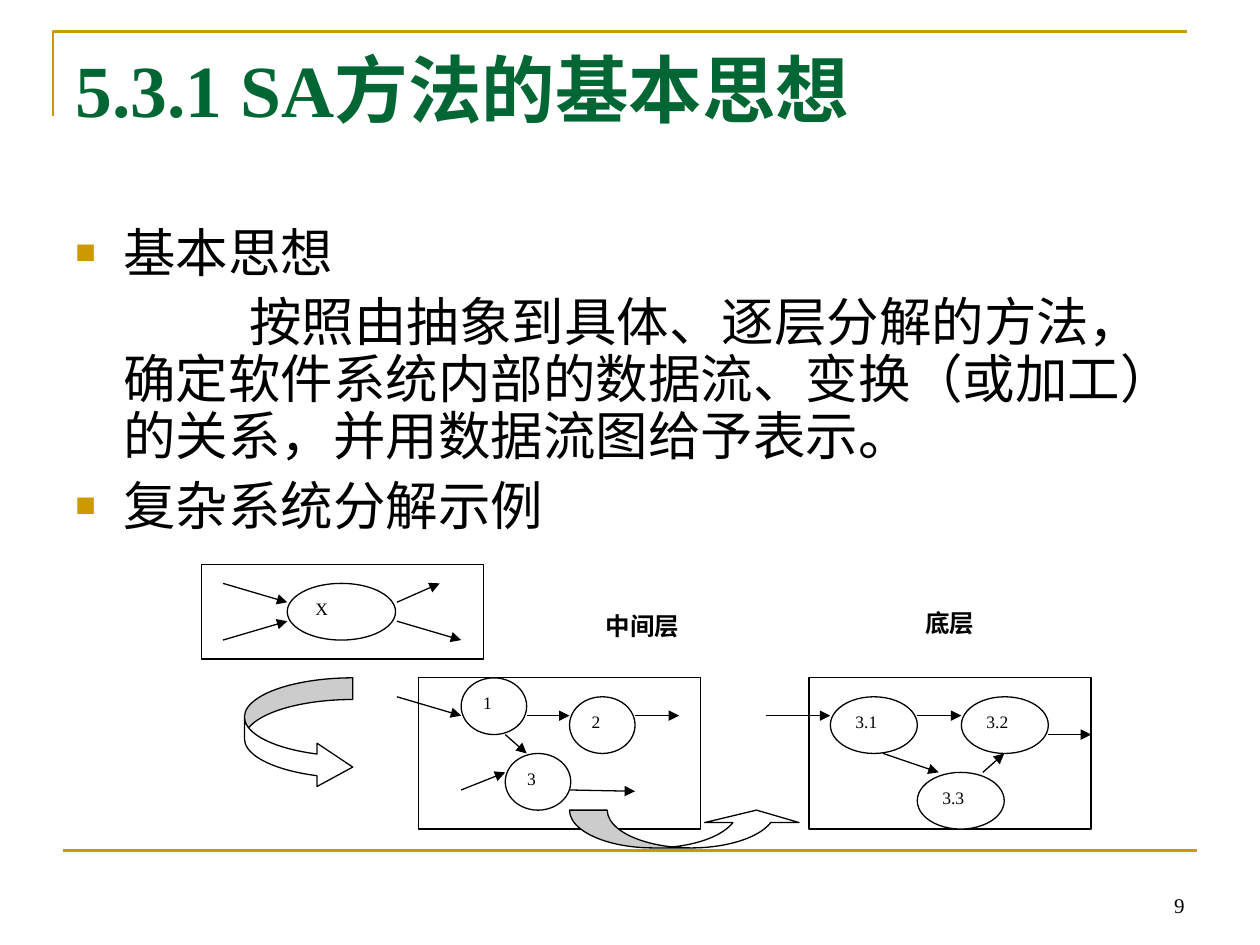
from lxml import etree
from pptx import Presentation
from pptx.dml.color import RGBColor
from pptx.enum.shapes import MSO_CONNECTOR, MSO_SHAPE
from pptx.enum.text import MSO_ANCHOR, PP_ALIGN
from pptx.oxml.ns import qn
from pptx.util import Inches, Pt

STRAIGHT = MSO_CONNECTOR.STRAIGHT
RECTANGLE, OVAL = MSO_SHAPE.RECTANGLE, MSO_SHAPE.OVAL
RIGHT_ARROW, UP_ARROW = MSO_SHAPE.CURVED_RIGHT_ARROW, MSO_SHAPE.CURVED_UP_ARROW
TOP, BOTTOM = MSO_ANCHOR.TOP, MSO_ANCHOR.BOTTOM
LEFT, CENTER, RIGHT, JUSTIFY = PP_ALIGN.LEFT, PP_ALIGN.CENTER, PP_ALIGN.RIGHT, PP_ALIGN.JUSTIFY

COLORS = {"gold": "CC9900", "green": "006633", "black": "000000", "white": "FFFFFF"}
SERIF = "Times New Roman"
FORMATS = {
    "title": {"name": SERIF, "size": Pt(42), "bold": True},
    "body": {"name": "Arial", "size": Pt(30)},
    "process": {"name": SERIF, "size": Pt(10)},
    "level": {"name": SERIF, "size": Pt(14), "bold": True},
    "number": {"name": SERIF, "size": Pt(12)},
}

deck = Presentation()
deck.slide_width, deck.slide_height = Inches(10), Inches(7.5)
page = deck.slides.add_slide(deck.slide_layouts[6])
shapes = page.shapes


def write(box, lines, style, align=LEFT, anchor=TOP, color="black"):
    """Fill a box with one paragraph per line in a named format."""
    frame = box.text_frame
    frame.word_wrap = True
    frame.vertical_anchor = anchor
    frame.text = "\n".join(lines)
    for para in frame.paragraphs:
        para.alignment = align
        for span in para.runs:
            span.font.color.rgb = RGBColor.from_string(COLORS[color])
            for name, value in FORMATS[style].items():
                setattr(span.font, name, value)
    return frame.paragraphs


def draw(kind, place, line="black"):
    """Add a white preset shape with a thin outline."""
    shape = shapes.add_shape(kind, *map(Inches, place))
    shape.shadow.inherit = False
    shape.fill.solid()
    shape.fill.fore_color.rgb = RGBColor.from_string(COLORS["white"])
    shape.line.color.rgb = RGBColor.from_string(COLORS[line])
    shape.line.width = Pt(0.75)
    return shape


# Corner rule at the top left
builder = shapes.build_freeform(Inches(0.42), Inches(0.92))
builder.add_line_segments([(Inches(0.42), Inches(0.25)), (Inches(9.42), Inches(0.25))], close=False)
corner = builder.convert_to_shape()
corner.shadow.inherit = False
corner.fill.background()
corner.line.color.rgb = RGBColor.from_string(COLORS["gold"])
corner.line.width = Pt(1.5)

# Page number and title
number = shapes.add_textbox(Inches(7.17), Inches(6.83), Inches(2.33), Inches(0.5))
write(number, ["9"], "number", RIGHT, BOTTOM)
title = shapes.add_textbox(Inches(0.5), Inches(0.3), Inches(9), Inches(1.25))
write(title, ["5.3.1 SA方法的基本思想"], "title", color="green")

# Body: two bulleted headings around an indented explanation
body = shapes.add_textbox(Inches(0.5), Inches(1.75), Inches(9), Inches(2.75))
paras = write(body, [
    "基本思想",
    "按照由抽象到具体、逐层分解的方法，确定软件系统内部的数据流、变换（或加工）的关系，并用数据流图给予表示。",
    "复杂系统分解示例",
], "body")
for index, para in enumerate(paras):
    bulleted = index != 1
    props = para._p.get_or_add_pPr()
    props.set("marL", str(Inches(0.38)))
    props.set("indent", str(Inches(-0.38 if bulleted else 1)))
    if bulleted:
        tint = etree.SubElement(props, qn("a:buClr"))
        etree.SubElement(tint, qn("a:srgbClr"), val=COLORS["gold"])
        etree.SubElement(props, qn("a:buSzPct"), val="65000")
        etree.SubElement(props, qn("a:buFont"), typeface="Arial")
        etree.SubElement(props, qn("a:buChar"), char="■")
    para.line_spacing = 0.9
    para.space_before = Pt(7.5 if index else 0)

# Frames of the three levels
for frame_place in [(3.32, 5.38, 2.24, 1.2), (1.6, 4.48, 2.24, 0.75), (6.42, 5.38, 2.24, 1.2)]:
    draw(RECTANGLE, frame_place)

# Processes: name, left, top, width
processes = [
    ("X", 2.28, 4.63, 0.86),
    ("1", 3.66, 5.38, 0.52), ("3", 4.01, 5.98, 0.52), ("2", 4.52, 5.53, 0.52),
    ("3.1", 6.59, 5.53, 0.69), ("3.3", 7.28, 6.13, 0.69), ("3.2", 7.63, 5.53, 0.69),
]
for name, left, top, width in processes:
    write(draw(OVAL, (left, top, width, 0.45)), [name], "process", JUSTIFY)

# Curved arrows from each level to the next
curves = [
    (RIGHT_ARROW, (1.94, 5.38, 0.86, 0.88), (0.2, 0.4, 0.33)),
    (UP_ARROW, (4.52, 6.43, 1.86, 0.3), (1.27, 2.5, 0.33)),
]
for kind, place, ratios in curves:
    curve = draw(kind, place)
    for index, ratio in enumerate(ratios):
        curve.adjustments[index] = ratio

# Footer rule and data flows
footer_rule = (0.5, 6.75, 9.5, 6.75)
flows = [
    (1.77, 4.63, 2.28, 4.78), (1.77, 5.08, 2.28, 4.93),
    (3.15, 4.78, 3.49, 4.63), (3.15, 4.93, 3.66, 5.08),
    (3.15, 5.53, 3.66, 5.68), (4.18, 5.68, 4.52, 5.68),
    (3.66, 6.27, 4.01, 6.13), (4.01, 5.83, 4.18, 5.98),
    (4.52, 6.27, 5.04, 6.28), (5.04, 5.68, 5.39, 5.68),
    (6.08, 5.68, 6.59, 5.68), (7.28, 5.68, 7.63, 5.68),
    (7.01, 5.98, 7.45, 6.13), (7.8, 6.13, 7.97, 5.98),
    (8.32, 5.83, 8.66, 5.83),
]
for ends in [footer_rule] + flows:
    is_flow = ends != footer_rule
    line = shapes.add_connector(STRAIGHT, *map(Inches, ends))
    line.line.color.rgb = RGBColor.from_string(COLORS["black" if is_flow else "gold"])
    line.line.width = Pt(0.75 if is_flow else 1.5)
    if is_flow:
        etree.SubElement(line.line._get_or_add_ln(), qn("a:tailEnd"), type="triangle")
    etree.SubElement(line._element.spPr, qn("a:effectLst"))

# Level labels
for name, left, top in [("中间层", 4.67, 4.8), ("底层", 7.11, 4.78)]:
    write(draw(RECTANGLE, (left, top, 0.86, 0.45), "white"), [name], "level", CENTER)

deck.save("out.pptx")
